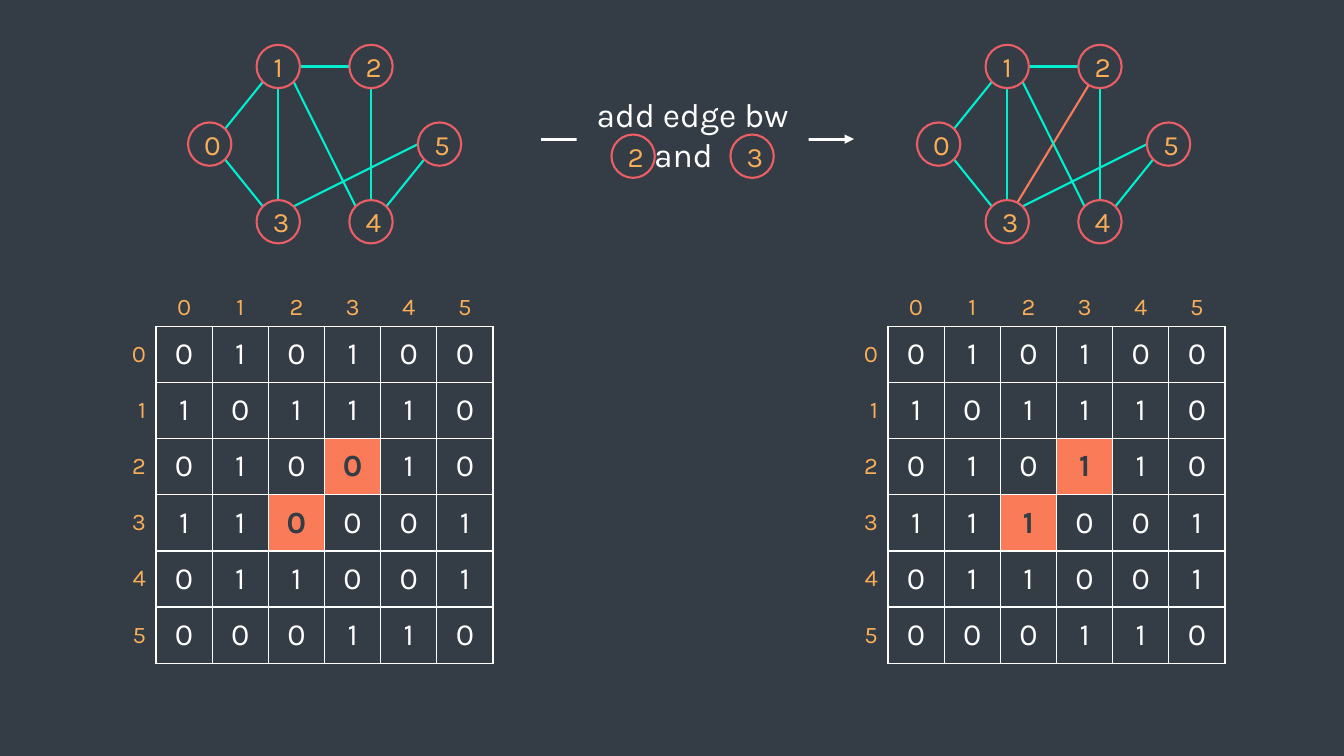
from lxml import etree
from pptx import Presentation
from pptx.dml.color import RGBColor
from pptx.enum.shapes import MSO_CONNECTOR, MSO_SHAPE
from pptx.enum.text import MSO_ANCHOR, PP_ALIGN
from pptx.oxml.ns import qn
from pptx.util import Inches, Pt

STRAIGHT = MSO_CONNECTOR.STRAIGHT
OVAL, RECT = MSO_SHAPE.OVAL, MSO_SHAPE.RECTANGLE
TOP, MIDDLE, BOTTOM = MSO_ANCHOR.TOP, MSO_ANCHOR.MIDDLE, MSO_ANCHOR.BOTTOM
CENTER, RIGHT = PP_ALIGN.CENTER, PP_ALIGN.RIGHT

DARK, WHITE, TEAL, CORAL = "343D46", "FFFFFF", "00EFD1", "F97B57"
RED, GOLD, AMBER = "EC5E66", "F9AD57", "F9AE57"
NO_GRID = "{2D5ABB26-0587-4C30-8999-92F81FD0307C}"

SIZE = 0.43
DIAG = 0.71
SITES = {
    "n": (0, -1), "s": (0, 1), "w": (-1, 0), "e": (1, 0),
    "nw": (-DIAG, -DIAG), "ne": (DIAG, -DIAG),
    "sw": (-DIAG, DIAG), "se": (DIAG, DIAG),
    "mid": (0, 0), "nne": (0.45, -0.86),
}
NODES = [(2.08, 1.43), (2.76, 0.66), (3.68, 0.66),
         (2.76, 2.2), (3.68, 2.2), (4.36, 1.43)]
EDGES = [(1, "sw", 0, "ne"), (3, "n", 1, "s"), (0, "se", 3, "nw"),
         (1, "e", 2, "w"), (1, "se", 4, "nw"), (2, "s", 4, "n"),
         (4, "ne", 5, "sw"), (3, "ne", 5, "w")]
ADDED = (2, "mid", 3, "nne")
# Shift of the graph, left edge of the matrix, edges
STATES = [(0, 0.99, EDGES), (7.23, 8.25, [ADDED] + EDGES)]


def rgb(code):
    return RGBColor.from_string(code)


def write(para, text, size, color, bold=False, align=CENTER):
    para.text = text
    para.alignment = align
    font = para.runs[0].font
    for key, value in {"name": "Karla", "size": Pt(size), "bold": bold}.items():
        setattr(font, key, value)
    font.color.rgb = rgb(color)


prs = Presentation()
prs.slide_width, prs.slide_height = Inches(13.33), Inches(7.5)
slide = prs.slides.add_slide(prs.slide_layouts[6])
slide.background.fill.solid()
slide.background.fill.fore_color.rgb = rgb(DARK)
shapes = slide.shapes

# Edges and the arrow
lines = [(5.37, 1.38, 8.47, 1.38, WHITE, 2.25)]
for shift, left, edges in STATES:
    for edge in edges:
        ends = []
        for num, site in (edge[:2], edge[2:]):
            (x, y), (dx, dy) = NODES[num], SITES[site]
            ends += [x + shift + dx * SIZE / 2, y + dy * SIZE / 2]
        lines.append((*ends, CORAL if edge == ADDED else TEAL, 1.5))

for *ends, color, width in lines:
    link = shapes.add_connector(STRAIGHT, *[Inches(v) for v in ends])
    link.line.color.rgb = rgb(color)
    link.line.width = Pt(width)
    props = link._element.spPr
    if color == WHITE:
        etree.SubElement(props.find(qn("a:ln")), qn("a:tailEnd"), type="triangle")
    etree.SubElement(props, qn("a:effectLst"))

# Caption over the arrow
box = shapes.add_shape(RECT, Inches(5.72), Inches(0.88), Inches(2.3), Inches(0.91))
box.shadow.inherit = False
box.fill.solid()
box.fill.fore_color.rgb = rgb(DARK)
box.line.fill.background()
frame = box.text_frame
frame.word_wrap = True
frame.vertical_anchor = TOP
frame.margin_left, frame.margin_right = 0, Inches(0.18)
write(frame.paragraphs[0], "add edge bw", 24, WHITE)
frame.paragraphs[0]._p.get_or_add_pPr().set("marL", str(Inches(0.18)))
write(frame.add_paragraph(), "and", 24, WHITE)

# Nodes of both graphs and of the caption
spots = [(x + shift, y, num) for shift, left, edges in STATES
         for num, (x, y) in enumerate(NODES)]
spots += [(6.28, 1.55, 2), (7.46, 1.55, 3)]
for x, y, num in spots:
    node = shapes.add_shape(OVAL, Inches(x - SIZE / 2), Inches(y - SIZE / 2),
                            Inches(SIZE), Inches(SIZE))
    node.shadow.inherit = False
    node.fill.solid()
    node.fill.fore_color.rgb = rgb(DARK)
    node.line.color.rgb = rgb(RED)
    node.line.width = Pt(1.5)
    node.text_frame.vertical_anchor = MIDDLE
    write(node.text_frame.paragraphs[0], str(num), 20, GOLD)

# Adjacency matrices, worked out from the edges
count = len(NODES) + 1
for shift, left, edges in STATES:
    pairs = [{start, end} for start, _, end, _ in edges]
    grid = shapes.add_table(count, count, Inches(left), Inches(2.68),
                            Inches(3.9), Inches(3.9)).table
    grid.first_row = grid.horz_banding = False
    grid._tbl.tblPr.find(qn("a:tableStyleId")).text = NO_GRID
    for row in range(count):
        for col in range(count):
            if row == col == 0:
                continue
            cell = grid.cell(row, col)
            pair = {row - 1, col - 1}
            hot = pair == {2, 3}
            if row == 0:
                sides, anchor = "B", BOTTOM
                look = (str(col - 1), 17, AMBER)
            elif col == 0:
                sides, anchor = "R", MIDDLE
                look = (str(row - 1), 17, AMBER, False, RIGHT)
            else:
                sides, anchor = "LRTB", MIDDLE
                look = (str(int(pair in pairs)), 22, DARK if hot else WHITE, hot)
            cell.vertical_anchor = anchor
            write(cell.text_frame.paragraphs[0], *look)
            props = cell._tc.get_or_add_tcPr()
            for side in sides:
                rule = etree.SubElement(props, qn("a:ln" + side), w=str(Pt(1)))
                fill = etree.SubElement(rule, qn("a:solidFill"))
                etree.SubElement(fill, qn("a:srgbClr"), val=WHITE)
            if hot:
                cell.fill.solid()
                cell.fill.fore_color.rgb = rgb(CORAL)
            else:
                cell.fill.background()

prs.save("out.pptx")
